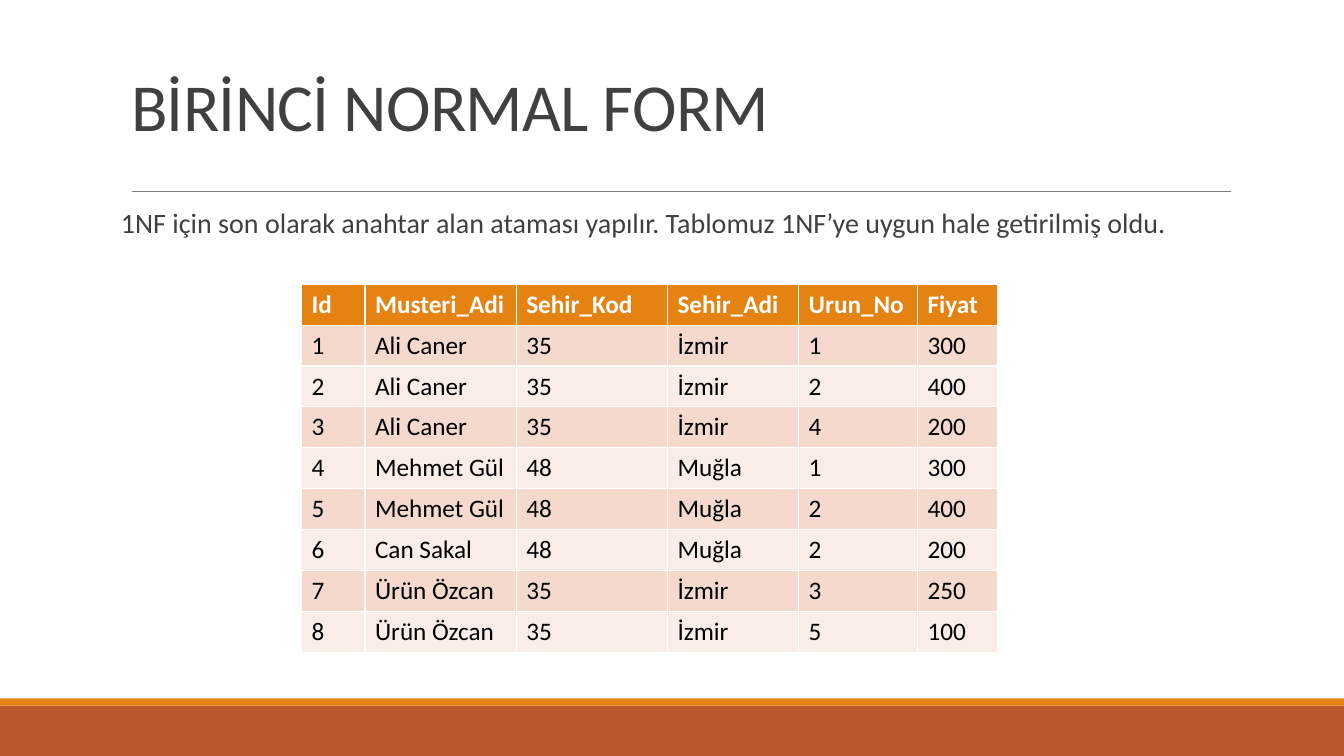
from lxml.etree import SubElement
from pptx import Presentation
from pptx.dml.color import RGBColor as Rgb
from pptx.enum.shapes import MSO_CONNECTOR as Link, MSO_SHAPE as Shape
from pptx.enum.text import MSO_ANCHOR as Anchor, MSO_AUTO_SIZE as Fit, PP_ALIGN as Align
from pptx.oxml.ns import qn
from pptx.util import Inches, Pt

COLORS = {
    "rust": "BD582C", "orange": "E48312", "rule": "808080", "text": "404040",
    "white": "FFFFFF", "black": "000000", "dark": "F5D9CC", "light": "FAEDE7",
}
HEAD = ["Id", "Musteri_Adi", "Sehir_Kod", "Sehir_Adi", "Urun_No", "Fiyat"]
CITIES = {"35": "İzmir", "48": "Muğla"}
SALES = [
    ("Ali Caner", "35", "1", "300"),
    ("Ali Caner", "35", "2", "400"),
    ("Ali Caner", "35", "4", "200"),
    ("Mehmet Gül", "48", "1", "300"),
    ("Mehmet Gül", "48", "2", "400"),
    ("Can Sakal", "48", "2", "200"),
    ("Ürün Özcan", "35", "3", "250"),
    ("Ürün Özcan", "35", "5", "100"),
]
WIDTHS = [0.63, 1.5, 1.5, 1.3, 1.18, 0.79]


def color(name):
    return Rgb.from_string(COLORS[name])


def write(frame, text, size=18, tone="text", bold=False, line=None, before=0, after=0, track=None):
    para = frame.paragraphs[0]
    para.alignment = Align.LEFT
    para.space_before, para.space_after = Pt(before), Pt(after)
    if line:
        para.line_spacing = line
    run = para.add_run()
    run.text = text
    font = run.font
    font.name, font.size, font.bold = "Calibri", Pt(size), bold
    font.color.rgb = color(tone)
    if track:
        font._element.set("spc", str(int(track * 100)))
    return para


def place(shape, box, anchor):
    shape.left, shape.top, shape.width, shape.height = map(Inches, box)
    frame = shape.text_frame
    frame.word_wrap, frame.auto_size = True, Fit.NONE
    frame.vertical_anchor = anchor
    return frame


def add_band(slide, box, tone):
    band = slide.shapes.add_shape(Shape.RECTANGLE, *map(Inches, box))
    band.shadow.inherit = False
    band.fill.solid()
    band.fill.fore_color.rgb = color(tone)
    band.line.fill.background()


def add_base(slide, box):
    left, top, width, height = box
    strip = 0.07
    add_band(slide, (left, top + strip, width, height - strip), "rust")
    add_band(slide, (left, top, width, strip), "orange")


def add_title(slide, box):
    left, top, width, height = box
    frame = place(slide.shapes.title, box, Anchor.MIDDLE)
    write(frame, "BİRİNCİ NORMAL FORM", size=48, line=0.85, track=-0.5)
    end = top + height
    rule = slide.shapes.add_connector(
        Link.STRAIGHT, Inches(left + 0.11), Inches(end), Inches(left + width + 0.01), Inches(end))
    rule.line.color.rgb = color("rule")
    rule.line.width = Pt(0.5)
    SubElement(rule._element.spPr, qn("a:effectLst"))


def add_body(slide, box):
    frame = place(slide.placeholders[1], box, Anchor.TOP)
    frame.margin_left = frame.margin_right = 0
    para = write(
        frame,
        "1NF için son olarak anahtar alan ataması yapılır. Tablomuz 1NF’ye uygun hale getirilmiş oldu.",
        size=20, line=0.9, before=12, after=2)
    props = para._p.get_or_add_pPr()
    props.set("marL", "0")
    props.set("indent", "0")
    SubElement(props, qn("a:buNone"))


def add_sales(slide, box):
    rows = [HEAD] + [
        (str(num), name, code, CITIES[code], item, price)
        for num, (name, code, item, price) in enumerate(SALES, 1)]
    table = slide.shapes.add_table(len(rows), len(HEAD), *map(Inches, box)).table
    for col, width in zip(table.columns, WIDTHS):
        col.width = Inches(width)
    for i, row in enumerate(rows):
        top = i == 0
        fill = "orange" if top else "dark" if i % 2 else "light"
        for j, text in enumerate(row):
            cell = table.cell(i, j)
            cell.fill.solid()
            cell.fill.fore_color.rgb = color(fill)
            write(cell.text_frame, text, tone="white" if top else "black", bold=top)


def main():
    deck = Presentation()
    deck.slide_width, deck.slide_height = Inches(13.33), Inches(7.5)
    slide = deck.slides.add_slide(deck.slide_layouts[1])
    add_base(slide, (0, 6.93, 13.33, 0.57))
    add_title(slide, (1.2, 0.31, 11, 1.59))
    add_body(slide, (1.2, 2.03, 11, 4.66))
    add_sales(slide, (2.99, 2.82, sum(WIDTHS), 3.6))
    deck.save("out.pptx")


if __name__ == "__main__":
    main()
